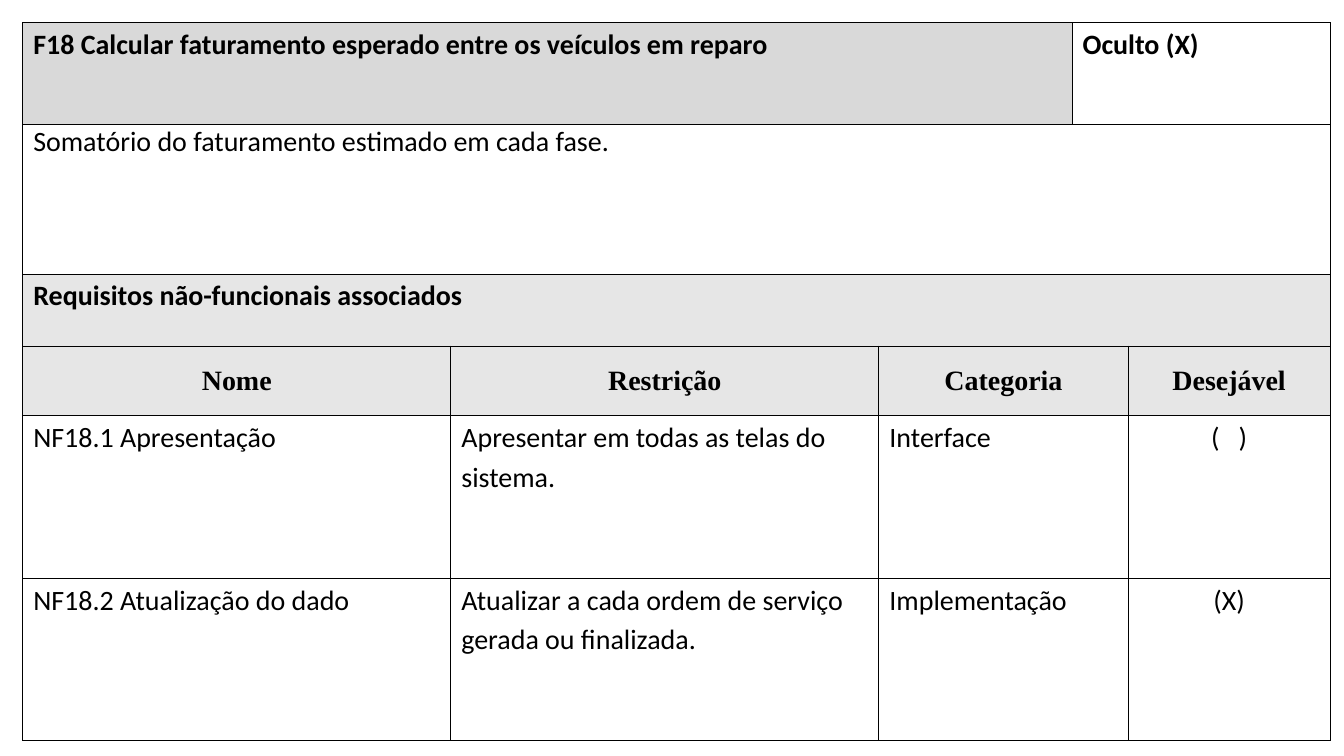
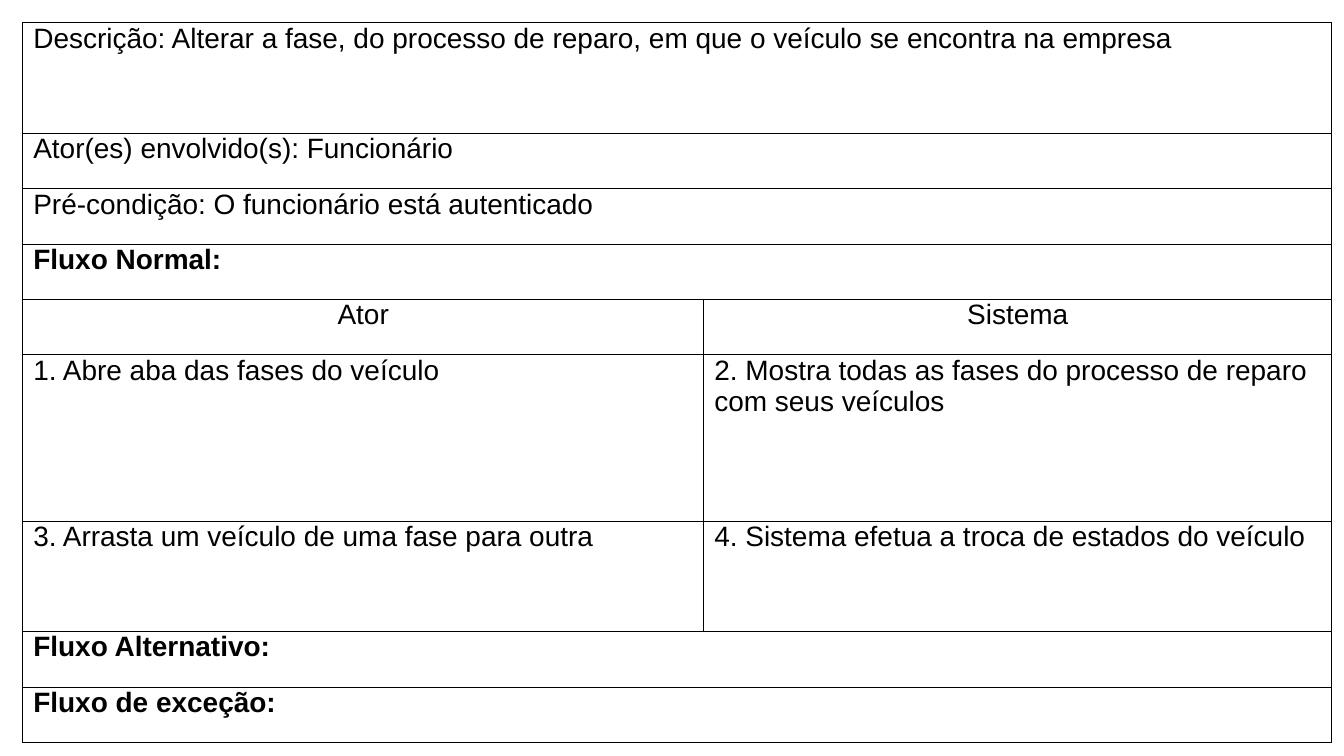
from dataclasses import dataclass

from lxml import etree
from pptx import Presentation
from pptx.dml.color import RGBColor
from pptx.enum import text
from pptx.oxml.ns import qn
from pptx.util import Cm, Pt

# Shared look
INK = "000000"
TITLE_FILL = "D9D9D9"
HEADER_FILL = "E6E6E6"
TABLE_LEFT = TABLE_TOP = 0.43
TEXT_SIZE = 15
BORDER_WIDTH = 0.5
BLANK_LAYOUT = 6


@dataclass(frozen=True)
class Style:
    font: str = "Calibri"
    bold: bool = False
    centered: bool = False
    middle: bool = False
    line_spacing: float = 1.0
    before: float = 0
    after: float = 0
    fill: str | None = None


@dataclass(frozen=True)
class Entry:
    text: str
    style: Style
    span: int = 1


def rgb(value: str) -> RGBColor:
    return RGBColor.from_string(value)


def set_borders(cell) -> None:
    """Outline a cell; border lines must come before its fill."""
    tc_pr = cell._tc.get_or_add_tcPr()
    for index, side in enumerate(("lnL", "lnR", "lnT", "lnB")):
        line = etree.Element(qn(f"a:{side}"), w=str(Pt(BORDER_WIDTH)))
        fill = etree.SubElement(line, qn("a:solidFill"))
        etree.SubElement(fill, qn("a:srgbClr"), val=INK)
        tc_pr.insert(index, line)


def format_cell(cell, fill: str | None) -> None:
    cell.margin_left = cell.margin_right = Cm(0.2)
    cell.margin_top = cell.margin_bottom = 0
    if fill:
        cell.fill.solid()
        cell.fill.fore_color.rgb = rgb(fill)
    else:
        cell.fill.background()
    set_borders(cell)


def write_cell(cell, entry: Entry) -> None:
    style = entry.style
    cell.vertical_anchor = text.MSO_ANCHOR.MIDDLE if style.middle else text.MSO_ANCHOR.TOP
    p = cell.text_frame.paragraphs[0]
    p.text = entry.text
    p.alignment = text.PP_ALIGN.CENTER if style.centered else text.PP_ALIGN.LEFT
    p.line_spacing = style.line_spacing
    p.space_before, p.space_after = Pt(style.before), Pt(style.after)
    p.font.name = style.font
    p.font.size = Pt(TEXT_SIZE)
    p.font.bold = style.bold
    p.font.color.rgb = rgb(INK)


def add_table_slide(prs, widths: list[float], heights: list[float],
                    rows: list[list[Entry]]) -> None:
    """Add a slide with one table; lengths are in centimetres."""
    s = prs.slides.add_slide(prs.slide_layouts[BLANK_LAYOUT])
    table = s.shapes.add_table(len(heights), len(widths), Cm(TABLE_LEFT), Cm(TABLE_TOP),
                               Cm(sum(widths)), Cm(sum(heights))).table
    table.first_row = table.horz_banding = False
    for column, width in zip(table.columns, widths):
        column.width = Cm(width)
    for row, height in zip(table.rows, heights):
        row.height = Cm(height)

    for row_index, entries in enumerate(rows):
        column_index = 0
        for entry in entries:
            end = column_index + entry.span
            for covered in range(column_index, end):
                format_cell(table.cell(row_index, covered), entry.style.fill)
            cell = table.cell(row_index, column_index)
            if entry.span > 1:
                cell.merge(table.cell(row_index, end - 1))
            write_cell(cell, entry)
            column_index = end


# Slide 1: functional requirement
def add_requirement(prs) -> None:
    body = Style(line_spacing=1.15, after=10)
    mark = Style(line_spacing=1.15, after=10, centered=True)
    label = Style(line_spacing=1.15, after=10, bold=True)
    title = Style(line_spacing=1.15, after=10, bold=True, fill=TITLE_FILL)
    section = Style(line_spacing=1.15, bold=True, fill=HEADER_FILL)
    header = Style("Times New Roman", bold=True, centered=True, middle=True,
                   before=2, after=2, fill=HEADER_FILL)

    def constraint(name: str, restriction: str, category: str, desirable: str) -> list[Entry]:
        return [Entry(name, body), Entry(restriction, body),
                Entry(category, body, 2), Entry(desirable, mark)]

    rows = [
        [Entry("F18 Calcular faturamento esperado entre os veículos em reparo", title, 3),
         Entry("Oculto (X)", label, 2)],
        [Entry("Somatório do faturamento estimado em cada fase.", Style(), 5)],
        [Entry("Requisitos não-funcionais associados", section, 5)],
        [Entry("Nome", header), Entry("Restrição", header),
         Entry("Categoria", header, 2), Entry("Desejável", header)],
        constraint("NF18.1 Apresentação", "Apresentar em todas as telas do sistema.",
                   "Interface", "(   )"),
        constraint("NF18.2 Atualização do dado",
                   "Atualizar a cada ordem de serviço gerada ou finalizada.",
                   "Implementação", "(X)"),
    ]
    add_table_slide(prs, [8.09, 8.09, 3.65, 1.06, 3.82],
                    [1.93, 2.82, 1.36, 1.32, 3.07, 3.07], rows)


# Slide 2: use case
def add_use_case(prs) -> None:
    body = Style("Arial")
    heading = Style("Arial", bold=True)
    header = Style("Arial", centered=True)
    rows = [
        [Entry("Descrição: Alterar a fase, do processo de reparo, em que o veículo "
               "se encontra na empresa", body, 2)],
        [Entry("Ator(es) envolvido(s): Funcionário", body, 2)],
        [Entry("Pré-condição: O funcionário está autenticado", body, 2)],
        [Entry("Fluxo Normal:", heading, 2)],
        [Entry("Ator", header), Entry("Sistema", header)],
        [Entry("1. Abre aba das fases do veículo", body),
         Entry("2. Mostra todas as fases do processo de reparo com seus veículos", body)],
        [Entry("3. Arrasta um veículo de uma fase para outra", body),
         Entry("4. Sistema efetua a troca de estados do veículo", body)],
        [Entry("Fluxo Alternativo:", heading, 2)],
        [Entry("Fluxo de exceção:", heading, 2)],
    ]
    # Every row is a whole number of text lines high
    lines = [2, 1, 1, 1, 1, 3, 2, 1, 1]
    line_height = 13.61 / sum(lines)
    add_table_slide(prs, [12.87, 11.87], [n * line_height for n in lines], rows)


def main() -> None:
    prs = Presentation()
    prs.slide_width, prs.slide_height = Cm(25.4), Cm(14.29)
    add_requirement(prs)
    add_use_case(prs)
    prs.save("out.pptx")


if __name__ == "__main__":
    main()
